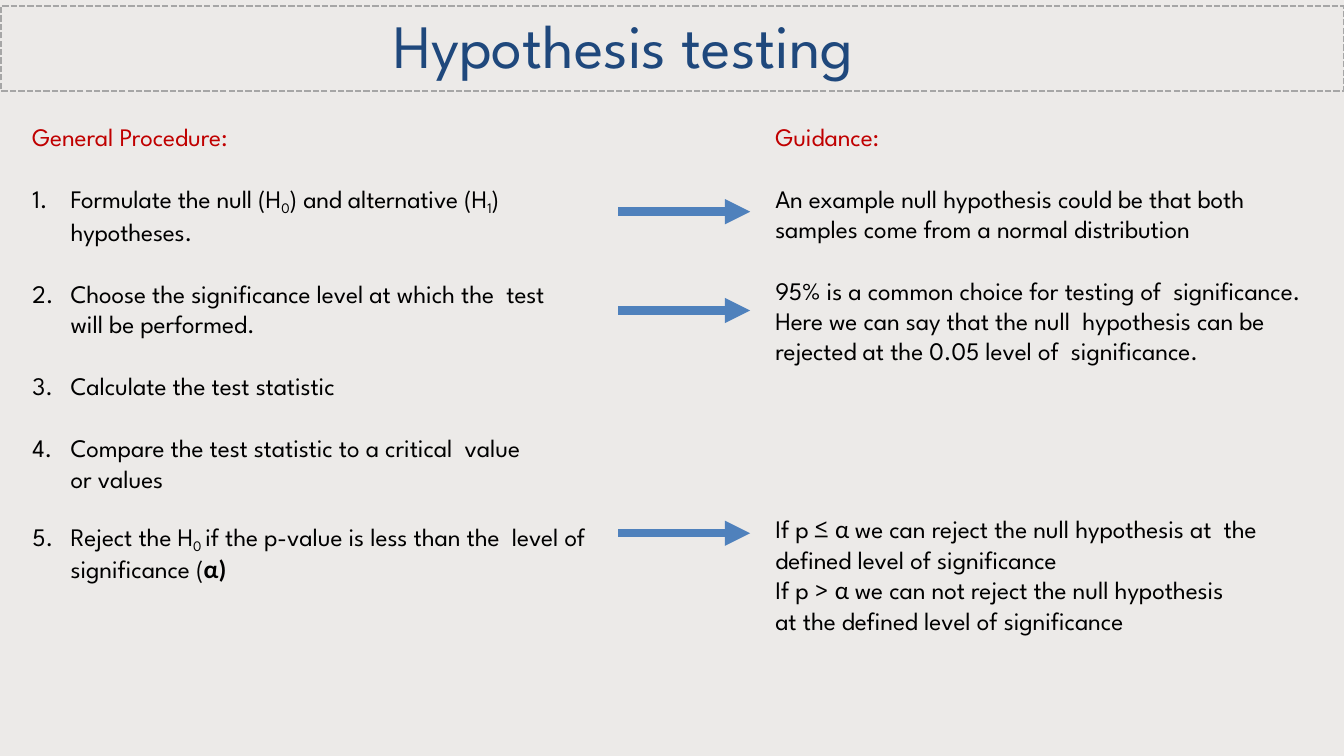
from lxml import etree
from pptx import Presentation
from pptx.dml.color import RGBColor
from pptx.enum.dml import MSO_LINE
from pptx.enum.shapes import MSO_CONNECTOR, MSO_SHAPE
from pptx.enum.text import MSO_ANCHOR, MSO_AUTO_SIZE, PP_ALIGN
from pptx.oxml.ns import qn
from pptx.util import Inches, Pt

SQUARE_DOT = MSO_LINE.SQUARE_DOT
STRAIGHT = MSO_CONNECTOR.STRAIGHT
RECTANGLE = MSO_SHAPE.RECTANGLE
TOP = MSO_ANCHOR.TOP
NO_AUTOFIT = MSO_AUTO_SIZE.NONE
LEFT = PP_ALIGN.LEFT

COLORS = {
    "panel": "82766A",
    "frame": "A6A6A6",
    "title": "1F487C",
    "heading": "C00000",
    "text": "000000",
    "arrow": "4F81BC",
}
MAIN_FONT = "League Spartan"
GREEK_FONT = "Calibri"
TEXT_SIZE = 18
GAP = 22.7  # points between blocks of text
TRACKING = {"tight": "-10", "plain": "0"}  # hundredths of a point
SLIDE_WIDTH, SLIDE_HEIGHT = 13.33, 7.5

# Content: a run is (text, style)
TITLE = "Hypothesis testing"
PROCEDURE_HEADING = "General Procedure:"
# Each step: runs, right margin in inches, line spacing
STEPS = [
    ([("Formulate the null (H", "tight"), ("0", "sub"),
      (") and alternative (H", "tight"), ("1", "sub"), (")  hypotheses.", "tight")],
     0, None),
    ([("Choose the significance level at which the  test will be performed.", "")],
     0.36, None),
    ([("Calculate the test statistic", "")], 0, None),
    ([("Compare the test statistic to a critical  value or values", "")], 0.64, None),
    ([("Reject the H", ""), ("0 ", "sub"),
      ("if the p-value is less than the  level of significance (", ""),
      ("α)", "greek bold")], 0, Pt(21)),
]
GUIDANCE_HEADING = "Guidance:"
GUIDANCE = [
    ("An example null hypothesis could be that both  samples come from a "
     "normal distribution", 0.4),
    ("95% is a common choice for testing of  significance. Here we can say that "
     "the null  hypothesis can be rejected at the 0.05 level of  significance.", 0),
]
# Each decision line: runs, space before, line spacing
DECISION = [
    ([("If p ≤ ", "plain"), ("α ", "greek"),
      ("we can reject the null hypothesis at  the defined level ", ""),
      ("of ", "plain"), ("significance", "")], 0, 1.02),
    ([("If p > ", "plain"), ("α ", "greek"),
      ("we can not reject the null hypothesis", "")], 0, Pt(21)),
    ([("at the defined level ", ""), ("of ", "plain"), ("significance", "")],
     0.6, None),
]
ARROW_HEIGHTS = [2.1, 3.08, 5.29]
ARROW_START, SHAFT_END = 6.13, 7.24
HEAD_LEFT, HEAD_RIGHT, HEAD_HALF = 7.19, 7.44, 0.125


def color(name):
    return RGBColor.from_string(COLORS[name])


def place(shape, left, top, width, height):
    shape.left, shape.top = Inches(left), Inches(top)
    shape.width, shape.height = Inches(width), Inches(height)


def add_rectangle(left, top, width, height):
    shape = slide.shapes.add_shape(
        RECTANGLE, Inches(left), Inches(top), Inches(width), Inches(height))
    shape.shadow.inherit = False
    return shape


def prepare(shape, top_margin=0.01):
    frame = shape.text_frame
    frame.word_wrap = True
    frame.auto_size = NO_AUTOFIT
    frame.vertical_anchor = TOP
    frame.margin_left = frame.margin_right = frame.margin_bottom = 0
    frame.margin_top = Inches(top_margin)
    return frame


def write(paragraph, runs, color_name="text", size=TEXT_SIZE, before=0,
          margin=0.01, hanging=0, right=0, spacing=None, numbered=False):
    properties = paragraph._p.get_or_add_pPr()
    properties.set("marL", str(Inches(margin)))
    properties.set("marR", str(Inches(right)))
    properties.set("indent", str(-Inches(hanging)))
    if numbered:
        etree.SubElement(properties, qn("a:buAutoNum"), type="arabicPeriod")
    else:
        etree.SubElement(properties, qn("a:buNone"))
    paragraph.alignment = LEFT
    paragraph.space_before = Pt(before)
    paragraph.space_after = Pt(0)
    paragraph.line_spacing = spacing or 1.0
    for text, style in runs:
        run = paragraph.add_run()
        run.text = text
        run.font.name = GREEK_FONT if "greek" in style else MAIN_FONT
        run.font.size = Pt(size)
        run.font.bold = "bold" in style
        run.font.color.rgb = color(color_name)
        run_properties = run._r.get_or_add_rPr()
        run_properties.set("spc", TRACKING.get(style, "-5"))
        if style == "sub":
            run_properties.set("baseline", "-21000")


presentation = Presentation()
presentation.slide_width = Inches(SLIDE_WIDTH)
presentation.slide_height = Inches(SLIDE_HEIGHT)
slide = presentation.slides.add_slide(presentation.slide_layouts[1])
title = slide.shapes.title
body = slide.placeholders[1]

# Translucent panel over the whole slide
panel = add_rectangle(0, 0, SLIDE_WIDTH, SLIDE_HEIGHT)
panel.fill.solid()
panel.fill.fore_color.rgb = color("panel")
panel.line.fill.background()
panel_color = panel._element.spPr.find(".//" + qn("a:srgbClr"))
etree.SubElement(panel_color, qn("a:alpha"), val="15000")

# Title and its dashed frame
title_frame = add_rectangle(0.01, 0.06, 13.32, 0.84)
title_frame.fill.background()
title_frame.line.color.rgb = color("frame")
title_frame.line.width = Pt(1.5)
title_frame.line.dash_style = SQUARE_DOT

# Panel and frame go behind the placeholders
for shape in (panel, title_frame):
    title._element.addprevious(shape._element)

place(title, 3.89, 0.05, 5.55, 0.76)
write(prepare(title, 0.02).paragraphs[0], [(TITLE, "")], "title", 44)

# Procedure steps
place(body, 0.21, 1.19, 5.7, 4.52)
procedure = prepare(body)
write(procedure.paragraphs[0], [(PROCEDURE_HEADING, "")], "heading", margin=0.11)
for runs, right, spacing in STEPS:
    write(procedure.add_paragraph(), runs, before=GAP, margin=0.49, hanging=0.38,
          right=right, spacing=spacing, numbered=True)

# Guidance
guidance_box = slide.shapes.add_textbox(
    Inches(7.68), Inches(1.19), Inches(5.57), Inches(2.73))
guidance = prepare(guidance_box)
write(guidance.paragraphs[0], [(GUIDANCE_HEADING, "")], "heading")
for text, right in GUIDANCE:
    write(guidance.add_paragraph(), [(text, "")], before=GAP, right=right)

# Decision rule
decision_box = slide.shapes.add_textbox(
    Inches(7.68), Inches(5.08), Inches(5.33), Inches(1.24))
decision = prepare(decision_box)
for index, (runs, before, spacing) in enumerate(DECISION):
    paragraph = decision.add_paragraph() if index else decision.paragraphs[0]
    write(paragraph, runs, before=before, spacing=spacing)

# Arrows from steps to guidance: shaft and head
for height in ARROW_HEIGHTS:
    shaft = slide.shapes.add_connector(
        STRAIGHT, Inches(ARROW_START), Inches(height), Inches(SHAFT_END), Inches(height))
    shaft.line.color.rgb = color("arrow")
    shaft.line.width = Pt(6)
    etree.SubElement(shaft._element.spPr, qn("a:effectLst"))

    builder = slide.shapes.build_freeform(
        Inches(HEAD_LEFT), Inches(height - HEAD_HALF))
    builder.add_line_segments([
        (Inches(HEAD_LEFT), Inches(height + HEAD_HALF)),
        (Inches(HEAD_RIGHT), Inches(height)),
    ], close=True)
    head = builder.convert_to_shape()
    head.shadow.inherit = False
    head.fill.solid()
    head.fill.fore_color.rgb = color("arrow")
    head.line.fill.background()

presentation.save("out.pptx")
